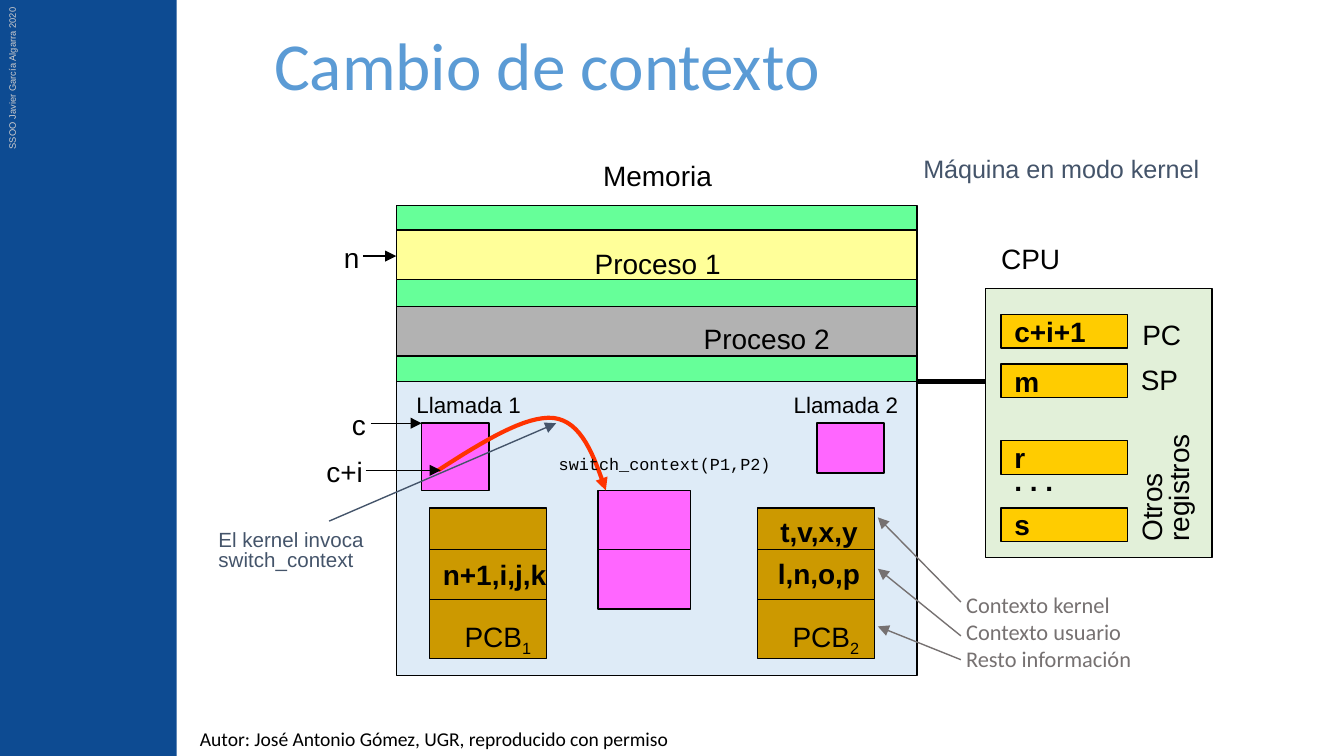
import pptx
import pptx.dml.color
import pptx.enum.shapes
import pptx.enum.text
import pptx.oxml.ns
import pptx.util
from lxml import etree
from pptx.util import Cm

COLOURS = {
    "sidebar": "0D4B92", "credit": "D0CECE", "title": "5B9BD5",
    "black": "000000", "note": "44546A", "legend": "767171",
    "kernel": "DEEBF7", "memory": "66FF99", "process1": "FFFF99",
    "process2": "B2B2B2", "call": "FF66FF", "pcb": "CC9900",
    "cpu": "E2F0D9", "register": "FFCC00", "switch": "FF3300",
}
ANCHOR = pptx.enum.text.MSO_ANCHOR
LABEL_HEIGHT = 0.89


def colour(name):
    return pptx.dml.color.RGBColor.from_string(COLOURS[name])


def inside(box, left, top, width, height):
    """Turn an area relative to a box into an area on the page."""
    return box[0] + left, box[1] + top, width, height


def write(shape, text, size=15, ink="black", font="Arial", bold=False,
          wrap=False, anchor=ANCHOR.TOP, spacing=None):
    frame = shape.text_frame
    frame.word_wrap = wrap
    frame.vertical_anchor = anchor
    if not wrap:
        frame.margin_right = 0  # room for the line to stay whole
    frame.text = text
    for para in frame.paragraphs:
        para.alignment = pptx.enum.text.PP_ALIGN.LEFT
        if spacing:
            para.line_spacing = spacing
        para.font.name = font
        para.font.size = pptx.util.Pt(size)
        para.font.bold = bold
        para.font.color.rgb = colour(ink)


def add_label(page, area, text, rotation=0, **style):
    shape = page.shapes.add_textbox(*map(Cm, area))
    shape.rotation = rotation
    write(shape, text, **style)
    return shape


def add_block(page, area, fill, text="", outlined=True):
    kind = pptx.enum.shapes.MSO_SHAPE.RECTANGLE
    shape = page.shapes.add_shape(kind, *map(Cm, area))
    shape.shadow.inherit = False
    shape.fill.solid()
    shape.fill.fore_color.rgb = colour(fill)
    if outlined:
        shape.line.color.rgb = colour("black")
        shape.line.width = pptx.util.Pt(0.75)
    else:
        shape.line.fill.background()
    if text:
        write(shape, text, bold=True, anchor=ANCHOR.MIDDLE)


def style_line(shape, ink, width, arrow):
    shape.line.color.rgb = colour(ink)
    shape.line.width = pptx.util.Pt(width)
    if arrow:
        tag = pptx.oxml.ns.qn("a:tailEnd")
        etree.SubElement(shape.line._get_or_add_ln(), tag, type="triangle")


def add_line(page, box, start, end, ink="black", width=0.75, arrow=True):
    points = [box[axis] + point[axis] for point in (start, end) for axis in (0, 1)]
    kind = pptx.enum.shapes.MSO_CONNECTOR.STRAIGHT
    line = page.shapes.add_connector(kind, *map(Cm, points))
    style_line(line, ink, width, arrow)
    etree.SubElement(line._element.spPr, pptx.oxml.ns.qn("a:effectLst"))


def bezier(nodes, steps=16):
    """Points along one cubic curve, without its first node."""
    for step in range(1, steps + 1):
        t = step / steps
        weights = ((1 - t) ** 3, 3 * t * (1 - t) ** 2, 3 * t ** 2 * (1 - t), t ** 3)
        yield tuple(sum(w * node[axis] for w, node in zip(weights, nodes))
                    for axis in (0, 1))


def add_switch_curve(page, box):
    nodes = [(0.79, 1.68), (1.63, 1.14), (2.44, 0.64), (2.97, 0.69),
             (3.51, 0.76), (3.73, 1.4), (3.96, 2.06)]
    points = [nodes[0], *bezier(nodes[:4]), *bezier(nodes[3:])]
    points = [(Cm(box[0] + x), Cm(box[1] + y)) for x, y in points]
    builder = page.shapes.build_freeform(*points[0])
    builder.add_line_segments(points[1:], close=False)
    curve = builder.convert_to_shape()
    curve.shadow.inherit = False
    curve.fill.background()
    style_line(curve, "switch", 2.25, True)


def add_pointer(page, box, text, left, width, start, end, height):
    """A label left of the box, with an arrow into it."""
    add_label(page, inside(box, left, height - 0.42, width, LABEL_HEIGHT), text)
    add_line(page, box, (start, height), (end, height))


def add_frame(page, box):
    """Sidebar, title and credits."""
    add_block(page, inside(box, -0.03, 0, 3.37, box[3]), "sidebar", outlined=False)
    add_label(page, inside(box, -1.68, 0.91, 3.84, 0.48),
              "SSOO Javier García Algarra 2020", rotation=270, size=5,
              ink="credit", wrap=True)
    add_label(page, inside(box, 4.93, 0.64, 19.58, 1.47), "Cambio de contexto",
              size=36, ink="title", font="Calibri", wrap=True,
              anchor=ANCHOR.BOTTOM, spacing=0.9)
    add_label(page, inside(box, 3.53, 13.61, 15.88, 0.69),
              "Autor: José Antonio Gómez, UGR, reproducido con permiso",
              size=10.5, font="Calibri", wrap=True)
    add_label(page, inside(box, 17.2, 2.77, 5.9, 0.81),
              "Máquina en modo kernel", size=13.5, ink="note")


def add_memory(page, box):
    width = box[2]
    add_label(page, inside(box, 3.66, -1.02, 2.57, LABEL_HEIGHT), "Memoria")
    add_block(page, box, "memory")
    for number, top, text_left, text_top in ((1, 0.46, 3.5, 0.64),
                                             (2, 1.9, 5.56, 2.06)):
        add_block(page, inside(box, 0, top, width, 0.94), f"process{number}")
        add_label(page, inside(box, text_left, text_top, 2.9, LABEL_HEIGHT),
                  f"Proceso {number}")
    add_pointer(page, box, "n", -1.24, 0.79, -0.63, 0, 0.95)


def add_pcb(page, box, number, user_text=""):
    top = 0
    for height, text in ((0.79, ""), (0.94, user_text), (1.12, "")):
        add_block(page, inside(box, 0, top, box[2], height), "pcb", text)
        top += height
    label = add_label(page, inside(box, 0.41, 1.98, 1.8, 0.97), "PCB")
    span = label.text_frame.paragraphs[0].add_run()
    span.text = str(number)
    span._r.get_or_add_rPr().set("baseline", "-25000")


def add_kernel(page, box):
    add_block(page, box, "kernel")
    for area in ((0.48, 0.79, 1.27, 1.27), (7.95, 0.79, 1.27, 0.94),
                 (3.81, 2.06, 1.75, 1.12), (3.81, 3.18, 1.75, 1.12)):
        add_block(page, inside(box, *area), "call")
    for number, left in ((1, 0.13), (2, 7.26)):
        add_label(page, inside(box, left, 0.05, 2.49, 0.76),
                  f"Llamada {number}", size=12)

    add_pcb(page, inside(box, 0.63, 2.39, 2.21, 2.85), 1, "n+1,i,j,k")
    second = inside(box, 6.83, 2.39, 2.21, 2.85)
    add_pcb(page, second, 2)
    add_label(page, inside(second, 0.18, 0, 1.98, LABEL_HEIGHT), "t,v,x,y", bold=True)
    add_label(page, inside(second, 0.13, 0.79, 2.06, LABEL_HEIGHT), "l,n,o,p", bold=True)

    add_switch_curve(page, box)
    add_pointer(page, box, "c", -1.09, 0.76, -0.48, 0.48, 0.79)
    add_pointer(page, box, "c+i", -1.57, 1.27, -0.58, 0.84, 1.68)
    add_label(page, inside(box, -3.61, 2.72, 3.28, 0.99),
              "El kernel invoca switch_context", size=11, ink="note",
              wrap=True, spacing=0.8)
    add_line(page, box, (-1.27, 2.64), (3.02, 0.79), ink="note")
    add_label(page, inside(box, 2.82, 1.24, 4.6, 0.64), "switch_context(P1,P2)",
              size=9, font="Courier New", wrap=True)


def add_cpu(page, box):
    add_block(page, box, "cpu")
    add_line(page, box, (-1.28, 1.75), (0, 1.75), width=2.25, arrow=False)
    for top, text in ((0.48, "c+i+1"), (1.42, "m"), (2.87, "r"), (4.14, "s")):
        add_block(page, inside(box, 0.3, top, 2.39, 0.64), "register", text)
    for left, top, width, text in ((0.05, -1.02, 1.63, "CPU"),
                                   (2.72, 0.41, 1.24, "PC"),
                                   (2.69, 1.27, 1.24, "SP")):
        add_label(page, inside(box, left, top, width, LABEL_HEIGHT), text)
    add_label(page, inside(box, 0.3, 3.18, 1.24, LABEL_HEIGHT), ". . .", bold=True)
    add_label(page, inside(box, 2.18, 3.12, 2.54, 1.27), "Otros\nregistros",
              rotation=270, spacing=0.8)


def add_legend(page, box):
    add_label(page, box, "Contexto kernel\nContexto usuario\nResto información",
              size=12, ink="legend", font="Calibri")
    for start, end in ((0.33, -1.27), (0.97, -0.3), (1.42, 0.79)):
        add_line(page, box, (0.15, start), (-1.42, end), ink="legend")


def main():
    deck = pptx.Presentation()
    deck.slide_width, deck.slide_height = Cm(25.4), Cm(14.29)
    page = deck.slides.add_slide(deck.slide_layouts[6])
    add_frame(page, (0, 0, 25.4, 14.29))
    add_memory(page, (7.49, 3.89, 9.84, 3.33))
    add_kernel(page, (7.49, 7.21, 9.84, 5.56))
    add_cpu(page, (18.62, 5.46, 4.29, 5.08))
    add_legend(page, (18.01, 11.05, 3.66, 1.78))
    deck.save("out.pptx")


if __name__ == "__main__":
    main()
